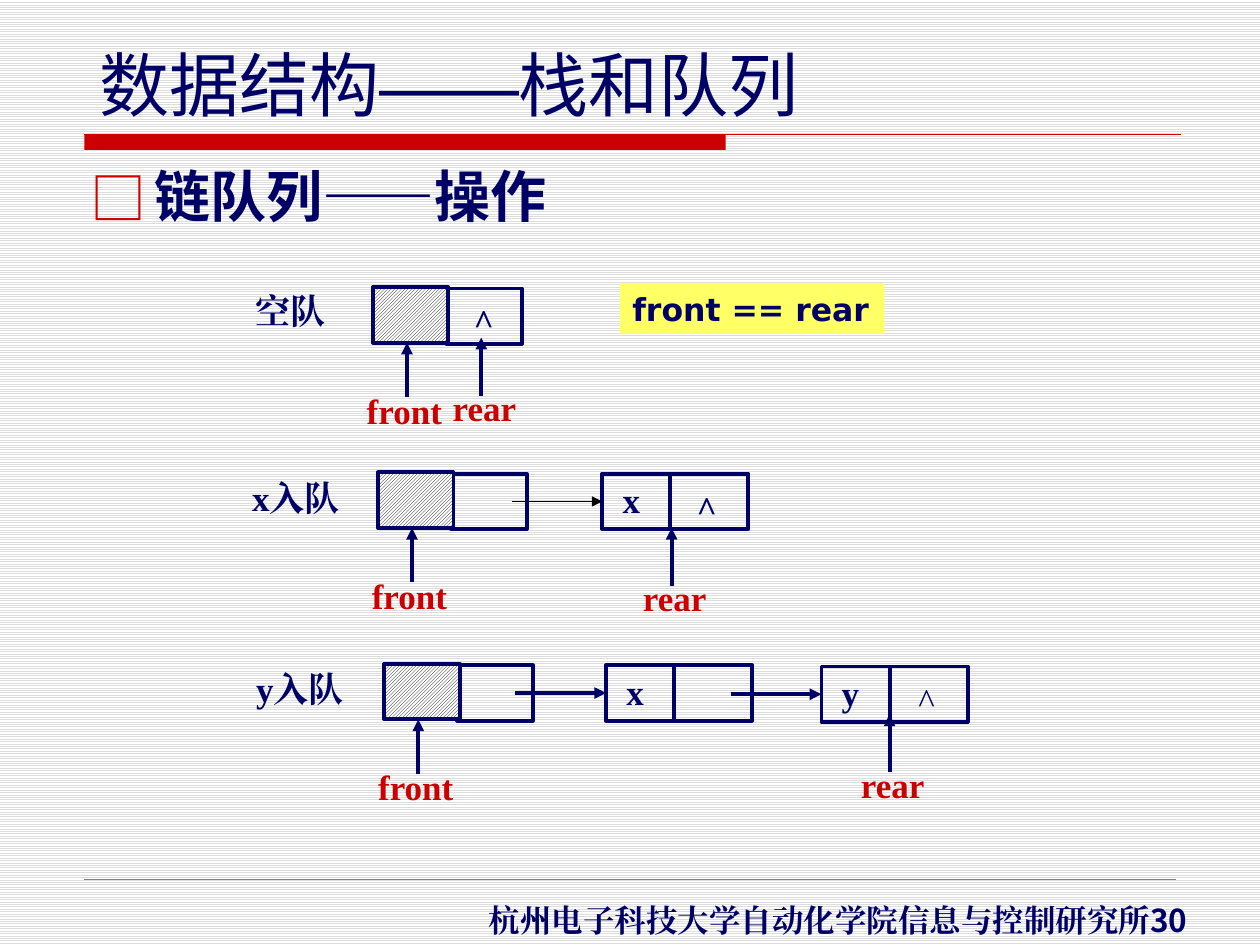
from pptx import Presentation
from pptx.dml.color import RGBColor as RGB
from pptx.enum.dml import MSO_PATTERN as Pat
from pptx.enum.shapes import MSO_CONNECTOR as Conn, MSO_SHAPE as Shape
from pptx.enum.text import MSO_ANCHOR as Anchor, MSO_AUTO_SIZE as Auto, PP_ALIGN as Align
from pptx.oxml.ns import qn
from pptx.util import Inches, Pt
from lxml.etree import SubElement as Sub

NAVY = RGB(0x00, 0x00, 0x66)
RED = RGB(0xCC, 0x00, 0x00)
BLACK = RGB(0x00, 0x00, 0x00)
WHITE = RGB(0xFF, 0xFF, 0xFF)
GRAY = RGB(0x80, 0x80, 0x80)
PALE = RGB(0xDD, 0xDD, 0xDD)
YELLOW = RGB(0xFF, 0xFF, 0x66)
SERIF = "Times New Roman"
SANS = "DejaVu Sans"
HAN = "Noto Sans CJK SC"


def hatch(fill, kind, fore):
    fill.patterned()
    fill.pattern = kind
    fill.fore_color.rgb = fore
    fill.back_color.rgb = WHITE


def bullet(para, mark):
    props = para._p.get_or_add_pPr()
    props.set("marL", str(Inches(0.51)))
    props.set("indent", str(-Inches(0.51)))
    tint = Sub(props, qn("a:buClr"))
    Sub(tint, qn("a:srgbClr"), val=str(RED))
    Sub(props, qn("a:buFont"), typeface=HAN)
    Sub(props, qn("a:buChar"), char=mark)


def text(slide, parts, x, y, w, h, size=20, color=NAVY, bold=True,
         align=Align.LEFT, anchor=Anchor.TOP, wrap=False, mark=None, fill=None):
    if fill is None:
        shape = slide.shapes.add_textbox(Inches(x), Inches(y), Inches(w), Inches(h))
    else:
        shape = box(slide, x, y, w, h, fill=fill, edge=None)
    frame = shape.text_frame
    frame.word_wrap = wrap
    frame.auto_size = Auto.NONE if wrap else Auto.SHAPE_TO_FIT_TEXT
    frame.vertical_anchor = anchor
    para = frame.paragraphs[0]
    para.alignment = align
    if mark:
        bullet(para, mark)
    for words, face in parts:
        run = para.add_run()
        run.text = words
        font = run.font
        font.name, font.size, font.bold = face, Pt(size), bold
        font.color.rgb = color
        Sub(font._element, qn("a:ea"), typeface=face)


def label(slide, words, x, y, w, **style):
    text(slide, [(words, SERIF)], x, y, w, 0.43,
         align=Align.CENTER, anchor=Anchor.MIDDLE, **style)


def box(slide, x, y, w, h, fill=None, edge=NAVY):
    shape = slide.shapes.add_shape(
        Shape.RECTANGLE, Inches(x), Inches(y), Inches(w), Inches(h))
    shape.shadow.inherit = False
    if fill is None:
        shape.fill.background()
    else:
        shape.fill.solid()
        shape.fill.fore_color.rgb = fill
    if edge is None:
        shape.line.fill.background()
    else:
        shape.line.color.rgb = edge
        shape.line.width = Pt(2.25)
    return shape


def line(slide, x1, y1, x2, y2, color=NAVY, width=2.25, arrow=False, goal=None):
    link = slide.shapes.add_connector(
        Conn.STRAIGHT, Inches(x1), Inches(y1), Inches(x2), Inches(y2))
    link.line.color.rgb = color
    link.line.width = Pt(width)
    if arrow:
        Sub(link.line._get_or_add_ln(), qn("a:tailEnd"), type="triangle")
    Sub(link._element.spPr, qn("a:effectLst"))
    if goal is not None:
        link.end_connect(goal, 1)


def front(slide, x, y):
    line(slide, x, y + 0.43, x, y, arrow=True)
    label(slide, "front", x - 0.42, y + 0.32, 0.8, color=RED)


def rear(slide, x, y):
    line(slide, x, y + 0.46, x, y, arrow=True)
    label(slide, "rear", x - 0.33, y + 0.34, 0.71, color=RED)


def head(slide, x, y):
    box(slide, x + 0.58, y + 0.01, 0.6, 0.44)
    data = box(slide, x, y, 0.6, 0.44)
    hatch(data.fill, Pat.LIGHT_UPWARD_DIAGONAL, BLACK)
    front(slide, x + 0.27, y + 0.44)


def node(slide, name, x, y):
    cell = box(slide, x, y, 1.16, 0.44)
    line(slide, x + 0.54, y, x + 0.54, y + 0.44)
    label(slide, name, x + 0.06, y - 0.01, 0.34)
    return cell


def join(slide, cell, x, y, **style):
    line(slide, x, y, x + 0.72, y, arrow=True, goal=cell, **style)


def frame(slide):
    hatch(slide.background.fill, Pat.LIGHT_HORIZONTAL, PALE)
    box(slide, 0.67, 1.07, 5.09, 0.12, fill=RED, edge=None)
    line(slide, 0.67, 1.07, 9.37, 1.07, color=RED, width=0.75)
    line(slide, 0.67, 6.98, 9.33, 6.98, color=GRAY, width=0.25)
    text(slide, [("数据结构", SANS), ("——", "Arial"), ("栈和队列", SANS)],
         0.69, 0.28, 5.75, 0.77, size=40, bold=False)
    text(slide, [("杭州电子科技大学自动化学院信息与控制研究所", SERIF), ("30", HAN)],
         3.78, 7.1, 6.11, 0.4, size=18)
    text(slide, [("链队列——操作", HAN)], 0.62, 1.23, 8.75, 5.67,
         size=32, wrap=True, mark="□")


def empty(slide):
    head(slide, 2.96, 2.28)
    rear(slide, 3.82, 2.68)
    label(slide, "空队", 1.93, 2.25, 0.76)
    label(slide, "^", 3.66, 2.33, 0.36)
    text(slide, [("front == rear", SANS)], 4.92, 2.25, 2.1, 0.4,
         size=18, fill=YELLOW)


def add_x(slide):
    head(slide, 3, 3.75)
    label(slide, "x入队", 1.9, 3.73, 0.9, wrap=True)
    cell = node(slide, "x", 4.78, 3.76)
    join(slide, cell, 4.06, 3.98, color=BLACK, width=0.75)
    label(slide, "^", 5.43, 3.81, 0.36)
    rear(slide, 5.33, 4.19)


def add_y(slide):
    head(slide, 3.05, 5.27)
    label(slide, "y入队", 1.93, 5.25, 0.9, wrap=True)
    cell = node(slide, "x", 4.81, 5.28)
    join(slide, cell, 4.09, 5.5)
    last = node(slide, "y", 6.52, 5.29)
    join(slide, last, 5.8, 5.51)
    label(slide, "^", 7.19, 5.34, 0.33, bold=False)
    rear(slide, 7.06, 5.67)


def main():
    deck = Presentation()
    deck.slide_width, deck.slide_height = Inches(10), Inches(7.5)
    slide = deck.slides.add_slide(deck.slide_layouts[6])
    for draw in (frame, empty, add_x, add_y):
        draw(slide)
    deck.save("out.pptx")


if __name__ == "__main__":
    main()
